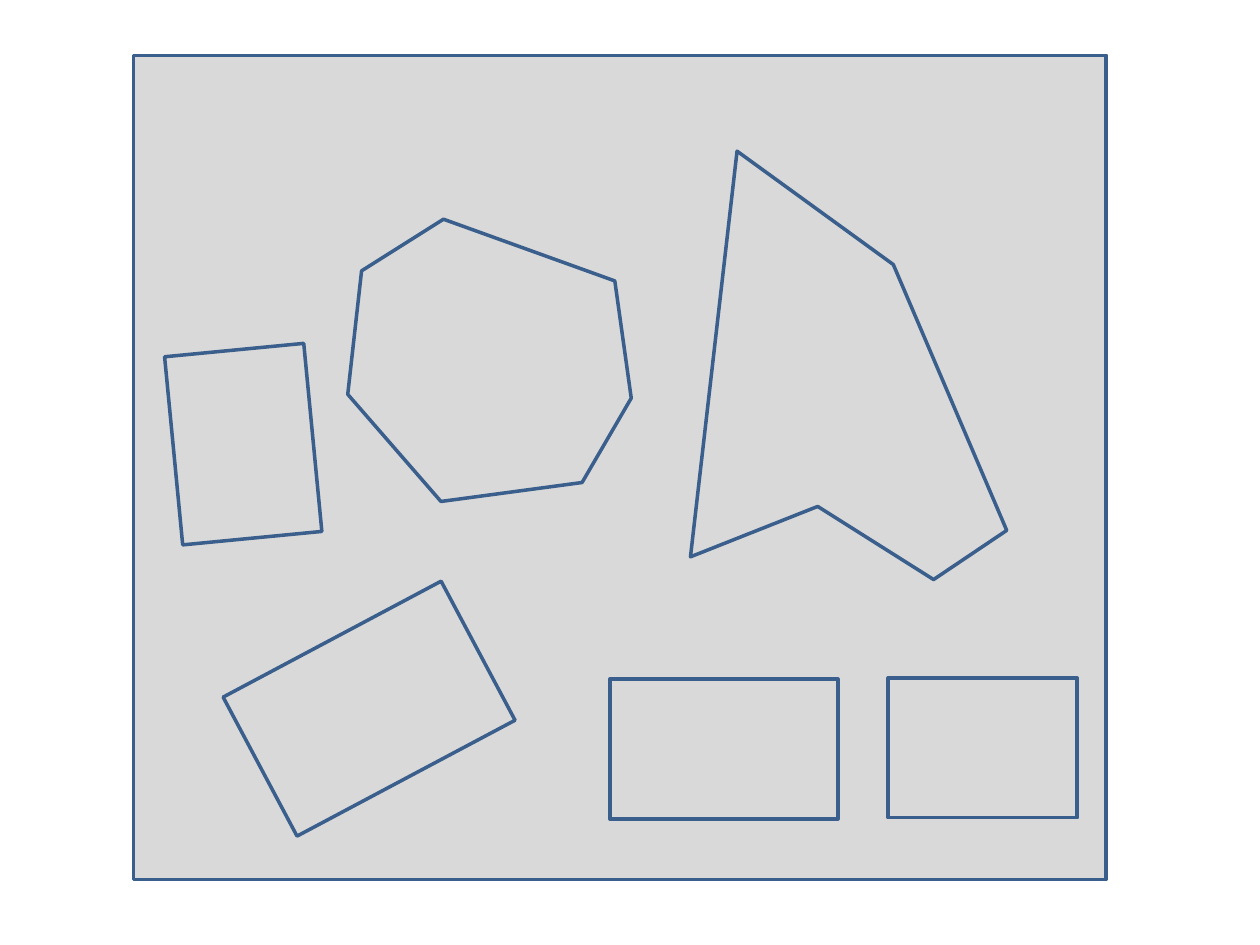
"""Build a slide of grey rectangles and polygons inside a large frame."""
from pptx import Presentation
from pptx.dml.color import RGBColor
from pptx.enum.shapes import MSO_SHAPE
from pptx.util import Inches, Pt

RECTANGLE = MSO_SHAPE.RECTANGLE
GREY = RGBColor(0xD9, 0xD9, 0xD9)
BLUE = RGBColor(0x3A, 0x5F, 0x8C)

deck = Presentation()
deck.slide_width = Inches(10)
deck.slide_height = Inches(7.5)
page = deck.slides.add_slide(deck.slide_layouts[6])


def add_rectangle(left, top, width, height, rotation=0):
    rectangle = page.shapes.add_shape(
        RECTANGLE, Inches(left), Inches(top), Inches(width), Inches(height))
    rectangle.rotation = rotation


def add_polygon(*corners):
    points = [(Inches(x), Inches(y)) for x, y in corners]
    builder = page.shapes.build_freeform(*points[0])
    builder.add_line_segments(points[1:], close=True)
    builder.convert_to_shape()


add_rectangle(1.06, 0.44, 7.72, 6.54)
add_rectangle(1.95, 5, 1.96, 1.25, rotation=332)
add_rectangle(4.84, 5.39, 1.81, 1.11)
add_polygon((3.52, 1.74), (2.87, 2.15), (2.76, 3.13), (3.5, 3.98),
            (4.62, 3.83), (5.01, 3.16), (4.88, 2.23))
add_polygon((5.85, 1.2), (5.48, 4.42), (6.49, 4.02),
            (7.41, 4.6), (7.99, 4.21), (7.09, 2.1))
add_rectangle(7.05, 5.38, 1.5, 1.11)
add_rectangle(1.18, 2.97, 1.5, 1.11, rotation=84.5)

for shape in page.shapes:
    shape.shadow.inherit = False
    shape.fill.solid()
    shape.fill.fore_color.rgb = GREY
    shape.line.color.rgb = BLUE
    shape.line.width = Pt(2)

deck.save("out.pptx")
